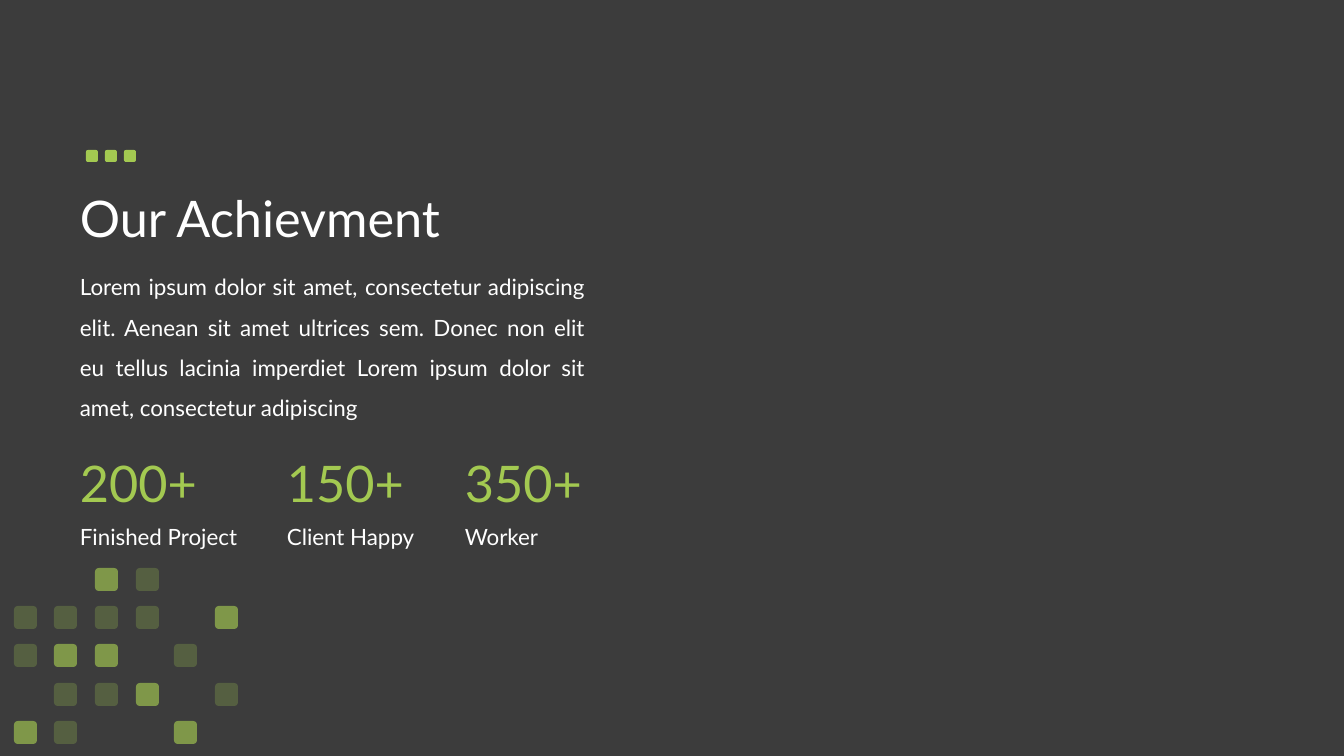
from lxml.etree import SubElement
from pptx import Presentation
from pptx.dml.color import RGBColor
from pptx.enum.shapes import MSO_SHAPE as Shape
from pptx.enum.text import MSO_ANCHOR as Anchor, MSO_AUTO_SIZE as AutoSize, PP_ALIGN as Align
from pptx.oxml.ns import qn
from pptx.util import Emu, Pt

COLORS = {"background": "3C3C3C", "accent": "A3C951", "text": "FFFFFF"}
FONT = "Lato"
LEFT = 70
BODY = (
    "Lorem ipsum dolor sit amet, consectetur adipiscing elit. "
    "Aenean sit amet ultrices sem. Donec non elit eu tellus lacinia imperdiet "
    "Lorem ipsum dolor sit amet, consectetur adipiscing"
)
STATS = [
    (LEFT, "200+", "Finished Project"),
    (277, "150+", "Client Happy"),
    (455, "350+", "Worker"),
]
MOSAIC_LEFTS = [14, 54, 95, 136, 174, 215]
MOSAIC_ROWS = [
    (568, "  #+  "),
    (606, "++++ #"),
    (644, "+## + "),
    (683, " ++# +"),
    (721, "#+  # "),
]
MOSAIC_OPACITY = {"#": 65, "+": 25}


def px(length):
    """Convert pixels to EMU."""
    return Emu(round(length * 914400 / 100.8))


def color(name):
    """Return a named colour."""
    return RGBColor.from_string(COLORS[name])


def add_text(slide, box, text, size, color_name="text", align=Align.LEFT, spacing=1.0, grow=True):
    """Add a one-paragraph text box."""
    shape = slide.shapes.add_textbox(*map(px, box))
    frame = shape.text_frame
    frame.word_wrap = True
    frame.auto_size = AutoSize.SHAPE_TO_FIT_TEXT if grow else AutoSize.NONE
    frame.vertical_anchor = Anchor.TOP if grow else Anchor.MIDDLE
    paragraph = frame.paragraphs[0]
    paragraph.text = text
    paragraph.alignment = align
    paragraph.line_spacing = spacing
    paragraph.font.name = FONT
    paragraph.font.size = Pt(size)
    paragraph.font.color.rgb = color(color_name)


def add_square(group, left, top, side, opacity=100):
    """Add a rounded accent square to a group."""
    shape = group.shapes.add_shape(Shape.ROUNDED_RECTANGLE, px(left), px(top), px(side), px(side))
    shape.shadow.inherit = False
    shape.fill.solid()
    shape.fill.fore_color.rgb = color("accent")
    shape.line.fill.background()
    if opacity < 100:
        fill_color = shape.fill._xPr.find(qn("a:solidFill"))[0]
        SubElement(fill_color, qn("a:alpha"), val=str(opacity * 1000))


def add_stat(slide, left, value, label):
    """Add a large figure with its label."""
    add_text(slide, (left, 447, 160, 71), value, 36, "accent")
    add_text(slide, (left, 518, 237, 37), label, 16)


def add_mosaic(slide):
    """Add the corner pattern of squares."""
    group = slide.shapes.add_group_shape()
    for top, cells in MOSAIC_ROWS:
        for left, cell in zip(MOSAIC_LEFTS, cells):
            if cell in MOSAIC_OPACITY:
                add_square(group, left, top, 23, MOSAIC_OPACITY[cell])


def add_dots(slide):
    """Add the three small squares above the title."""
    group = slide.shapes.add_group_shape()
    for index in range(3):
        add_square(group, 86 + 19 * index, 150, 12)


def main():
    """Build and save the slide."""
    presentation = Presentation()
    presentation.slide_width = px(1344)
    presentation.slide_height = px(756)
    slide = presentation.slides.add_slide(presentation.slide_layouts[6])
    slide.background.fill.solid()
    slide.background.fill.fore_color.rgb = color("background")
    add_text(slide, (LEFT, 148, 1159, 146), "Our Achievment", 36, spacing=0.9, grow=False)
    add_text(slide, (LEFT, 255, 525, 167), BODY, 16, align=Align.JUSTIFY, spacing=1.5)
    for stat in STATS:
        add_stat(slide, *stat)
    add_mosaic(slide)
    add_dots(slide)
    presentation.save("out.pptx")


if __name__ == "__main__":
    main()
